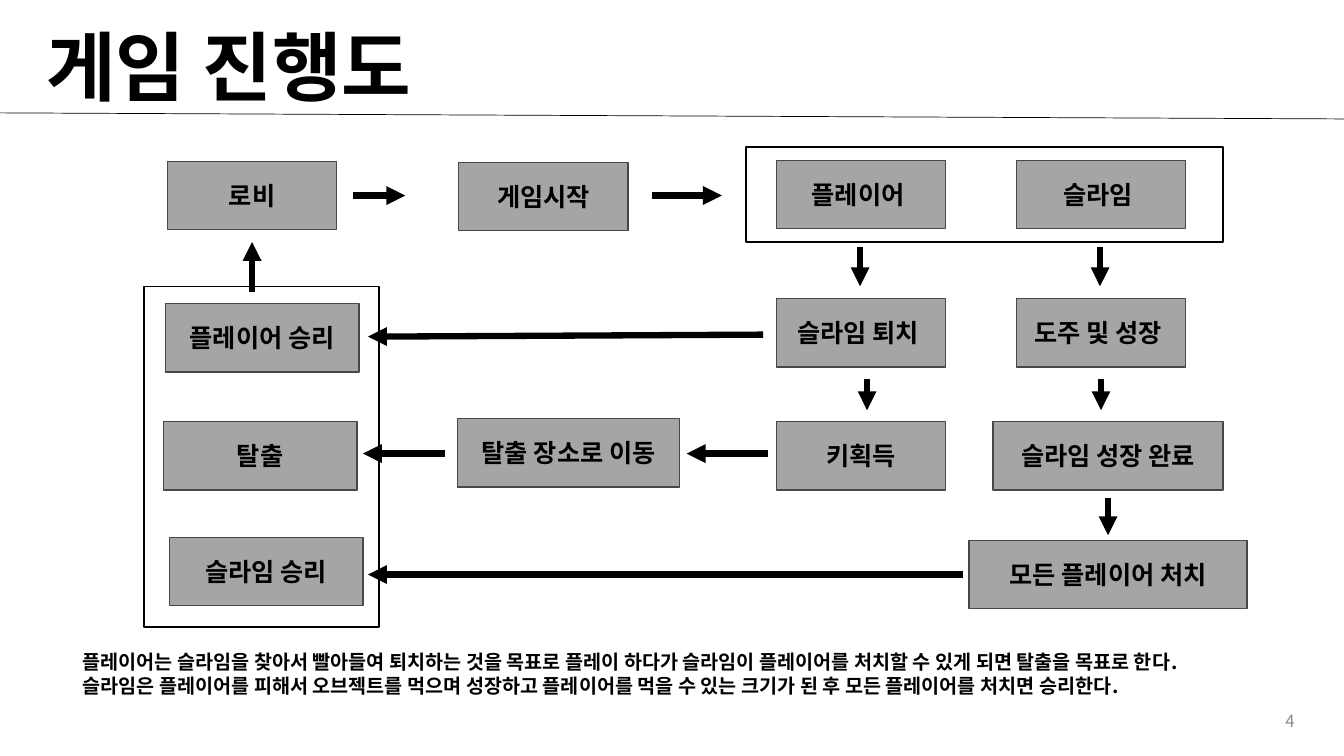
from dataclasses import dataclass
from typing import Any

from pptx import Presentation
from pptx.dml.color import RGBColor
from pptx.enum.shapes import MSO_CONNECTOR as Connector, MSO_SHAPE as Preset
from pptx.enum.text import MSO_ANCHOR as Anchor, MSO_AUTO_SIZE as AutoSize, PP_ALIGN as Align
from pptx.oxml.ns import qn
from pptx.util import Inches, Pt
from lxml.etree import SubElement

FONT = "Noto Sans CJK KR"
BLACK, WHITE, GREY, EDGE, PALE = "000000", "FFFFFF", "A5A5A5", "484848", "8C8C8C"
STEP_HEIGHT = 0.68


@dataclass(frozen=True)
class Step:
    label: str
    left: float
    top: float
    width: float = 1.68


@dataclass(frozen=True)
class Frame:
    left: float
    top: float
    width: float
    height: float


@dataclass(frozen=True)
class Line:
    start: tuple[float, float]
    end: tuple[float, float]


FRAMES = [Frame(7.4, 1.46, 4.73, 0.94), Frame(1.43, 2.84, 2.33, 3.38)]

STEPS = [
    Step("로비", 1.66, 1.6),
    Step("게임시작", 4.55, 1.61),
    Step("플레이어 ", 7.7, 1.59),
    Step("슬라임 ", 10.08, 1.59),
    Step("슬라임 퇴치 ", 7.7, 2.96),
    Step("도주 및 성장 ", 10.08, 2.96),
    Step("키획득", 7.7, 4.18),
    Step("슬라임 성장 완료", 9.85, 4.18, 2.28),
    Step("모든 플레이어 처치", 9.61, 5.36, 2.76),
    Step("탈출 장소로 이동", 4.54, 4.15, 2.2),
    Step("플레이어 승리", 1.64, 3.01, 1.92),
    Step("탈출", 1.62, 4.18, 1.92),
    Step("슬라임 승리", 1.68, 5.33, 1.92),
]

ARROWS = [
    Line((3.5, 1.94), (4.02, 1.94)),
    Line((6.47, 1.94), (7.16, 1.94)),
    Line((8.53, 2.45), (8.53, 2.84)),
    Line((10.91, 2.45), (10.91, 2.84)),
    Line((8.6, 3.76), (8.6, 4.07)),
    Line((10.92, 3.76), (10.92, 4.07)),
    Line((10.99, 4.94), (10.99, 5.31)),
    Line((7.57, 3.32), (3.65, 3.34)),
    Line((7.62, 4.5), (6.81, 4.5)),
    Line((4.41, 4.5), (3.6, 4.5)),
    Line((9.55, 5.7), (3.65, 5.7)),
    Line((2.5, 2.9), (2.5, 2.4)),
]

SUMMARY = [
    "플레이어는 슬라임을 찾아서 빨아들여 퇴치하는 것을 목표로 플레이 하다가 "
    "슬라임이 플레이어를 처치할 수 있게 되면 탈출을 목표로 한다.",
    "슬라임은 플레이어를 피해서 오브젝트를 먹으며 성장하고 플레이어를 먹을 수 있는 "
    "크기가 된 후 모든 플레이어를 처치면 승리한다.",
]


def apply(target: Any, values: dict[str, Any]) -> None:
    for name, value in values.items():
        setattr(target, name, value)


def colour(target: Any, code: str) -> None:
    target.rgb = RGBColor.from_string(code)


def place(shape: Any, frame: Frame) -> None:
    apply(shape, {
        "left": Inches(frame.left), "top": Inches(frame.top),
        "width": Inches(frame.width), "height": Inches(frame.height),
    })


def write(shape: Any, lines: list[str], size: float, align: Align,
          anchor: Anchor = Anchor.TOP, wrap: bool = True,
          bold: bool = True, code: str = BLACK) -> None:
    frame = shape.text_frame
    apply(frame, {"word_wrap": wrap, "auto_size": AutoSize.NONE, "vertical_anchor": anchor})
    for index, line in enumerate(lines):
        para = frame.add_paragraph() if index else frame.paragraphs[0]
        para.alignment = align
        span = para.add_run()
        span.text = line
        apply(span.font, {"name": FONT, "size": Pt(size), "bold": bold})
        colour(span.font.color, code)
        SubElement(span.font._element, qn("a:ea"), typeface=FONT)


def draw_box(page: Any, frame: Frame, fill: str, edge: str) -> Any:
    box = page.shapes.add_shape(
        Preset.RECTANGLE, Inches(frame.left), Inches(frame.top),
        Inches(frame.width), Inches(frame.height))
    box.shadow.inherit = False
    box.fill.solid()
    colour(box.fill.fore_color, fill)
    box.line.width = Pt(1)
    colour(box.line.color, edge)
    return box


def draw_step(page: Any, step: Step) -> None:
    box = draw_box(page, Frame(step.left, step.top, step.width, STEP_HEIGHT), GREY, EDGE)
    write(box, [step.label], 18, Align.CENTER, Anchor.MIDDLE)


def draw_line(page: Any, line: Line, weight: float, arrow: bool) -> None:
    connector = page.shapes.add_connector(
        Connector.STRAIGHT, *(Inches(value) for value in (*line.start, *line.end)))
    connector.line.width = Pt(weight)
    colour(connector.line.color, BLACK)
    properties = connector._element.spPr
    if arrow:
        SubElement(properties.find(qn("a:ln")), qn("a:tailEnd"), type="triangle")
    SubElement(properties, qn("a:effectLst"))


def add_text(page: Any, frame: Frame) -> Any:
    return page.shapes.add_textbox(
        Inches(frame.left), Inches(frame.top), Inches(frame.width), Inches(frame.height))


def main() -> None:
    deck = Presentation()
    apply(deck, {"slide_width": Inches(13.33), "slide_height": Inches(7.5)})
    page = deck.slides.add_slide(deck.slide_layouts[5])

    title = page.shapes.title
    place(title, Frame(0.36, 0.15, 4.26, 1.01))
    write(title, ["게임 진행도"], 54, Align.LEFT, wrap=False)
    draw_line(page, Line((0, 1.12), (13.33, 1.18)), 0.5, arrow=False)

    for frame in FRAMES:
        draw_box(page, frame, WHITE, BLACK)
    for step in STEPS:
        draw_step(page, step)
    for arrow in ARROWS:
        draw_line(page, arrow, 4.5, arrow=True)

    summary = add_text(page, Frame(0.72, 6.4, 12.41, 0.57))
    write(summary, SUMMARY, 14, Align.LEFT, wrap=False)
    number = add_text(page, Frame(9.94, 6.95, 3, 0.4))
    write(number, ["4"], 12, Align.RIGHT, Anchor.MIDDLE, bold=False, code=PALE)

    deck.save("out.pptx")


if __name__ == "__main__":
    main()
